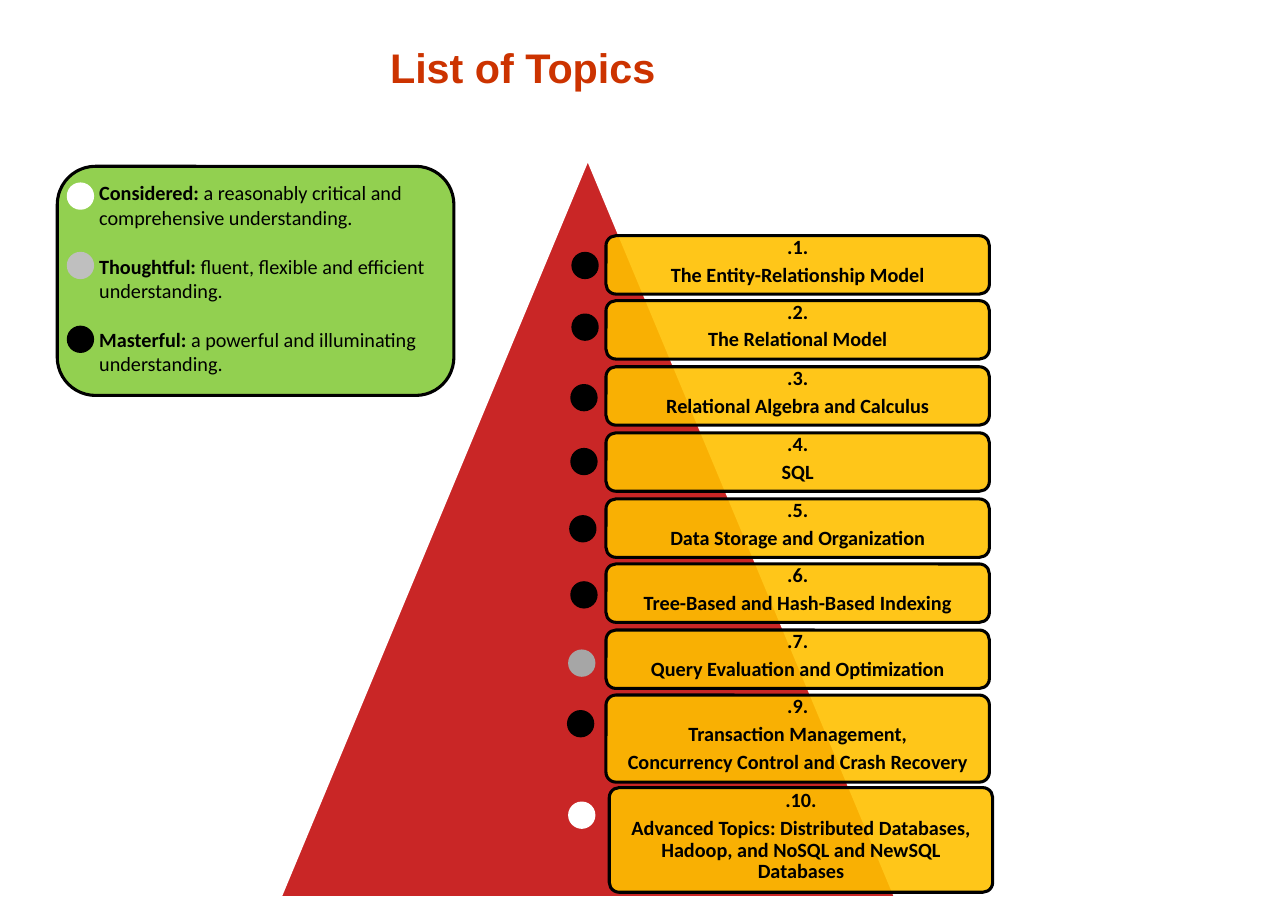
from lxml.etree import SubElement
from pptx import Presentation
from pptx.dml.color import RGBColor
from pptx.enum.shapes import MSO_SHAPE
from pptx.enum.text import MSO_ANCHOR, MSO_AUTO_SIZE, PP_ALIGN
from pptx.oxml.ns import qn
from pptx.util import Pt

EMU = 9144
COLORS = {
    "title": "CC3300", "peak": "C00000", "card": "FFC000", "key": "92D050",
    "black": "000000", "white": "FFFFFF", "gray": "A6A6A6", "silver": "BFBFBF",
}
FONTS = {
    "title": {"name": "Arial", "size": Pt(27), "bold": True},
    "strong": {"name": "Calibri", "size": Pt(13.2), "bold": True},
    "plain": {"name": "Calibri", "size": Pt(13.2), "bold": False},
}
PARAS = {
    "title": {"alignment": PP_ALIGN.LEFT},
    "card": {"alignment": PP_ALIGN.CENTER, "line_spacing": 0.9, "space_after": Pt(4)},
    "key": {"alignment": PP_ALIGN.LEFT, "space_before": Pt(0), "space_after": Pt(16.1)},
}
TOPICS = [
    (520, 230, "black", [".1.", "The Entity-Relationship Model"]),
    (520, 286, "black", [".2.", "The Relational Model"]),
    (519, 350, "black", [".3.", "Relational Algebra and Calculus"]),
    (519, 408, "black", [".4.", "SQL"]),
    (518, 469, "black", [".5.", "Data Storage and Organization"]),
    (519, 529, "black", [".6.", "Tree-Based and Hash-Based Indexing"]),
    (517, 591, "gray", [".7.", "Query Evaluation and Optimization"]),
    (516, 646, "black", [".9.", "Transaction Management,",
                         "Concurrency Control and Crash Recovery"]),
    (517, 729, "white", [".10.", "Advanced Topics: Distributed Databases, "
                         "Hadoop, and NoSQL and NewSQL Databases"]),
]
BOXES = [(550, 214 + 239 * i // 4, 348, 53) for i in range(7)]
BOXES += [(550, 631, 348, 79), (553, 715, 348, 95)]
LEVELS = [
    (167, "white", "Considered:", " a reasonably critical and comprehensive understanding."),
    (230, "silver", "Thoughtful:", " fluent, flexible and efficient understanding."),
    (297, "black", "Masterful:", " a powerful and illuminating understanding."),
]


def apply(item, values):
    for name, value in values.items():
        setattr(item, name, value)


class Deck:
    def __init__(self, width, height):
        self.file = Presentation()
        apply(self.file, {"slide_width": width * EMU, "slide_height": height * EMU})
        self.slide = self.file.slides.add_slide(self.file.slide_layouts[1])

    def place(self, shape, box):
        names = ("left", "top", "width", "height")
        apply(shape, {name: size * EMU for name, size in zip(names, box)})

    def frame(self, shape, anchor, pads=(0, 0, 0, 0)):
        frame = shape.text_frame
        names = ("margin_left", "margin_top", "margin_right", "margin_bottom")
        apply(frame, {name: pad * EMU for name, pad in zip(names, pads)})
        apply(frame, {"word_wrap": True, "auto_size": MSO_AUTO_SIZE.NONE,
                      "vertical_anchor": anchor})
        return frame

    def fill(self, frame, rows, style):
        for i, runs in enumerate(rows):
            para = frame.add_paragraph() if i else frame.paragraphs[0]
            apply(para, PARAS[style])
            for text, font, color in runs:
                run = para.add_run()
                run.text = text
                apply(run.font, FONTS[font])
                run.font.color.rgb = RGBColor.from_string(COLORS[color])

    def title(self, text, box):
        shape = self.slide.shapes.title
        self.place(shape, box)
        frame = self.frame(shape, MSO_ANCHOR.MIDDLE)
        self.fill(frame, [[(text, "title", "title")]], "title")

    def list(self, rows, box):
        shape = self.slide.placeholders[1]
        self.place(shape, box)
        frame = self.frame(shape, MSO_ANCHOR.TOP)
        self.fill(frame, rows, "key")
        for para in frame.paragraphs:
            props = para._p.get_or_add_pPr()
            props.set("marL", "0")
            props.set("indent", "0")
            SubElement(props, qn("a:buNone"))
        shape._element.getparent().append(shape._element)

    def shape(self, kind, box, fill, line, alpha=100):
        shape = self.slide.shapes.add_shape(kind, *(size * EMU for size in box))
        shape.shadow.inherit = False
        shape.fill.solid()
        shape.fill.fore_color.rgb = RGBColor.from_string(COLORS[fill])
        shape.line.color.rgb = RGBColor.from_string(COLORS[line])
        shape.line.width = Pt(2)
        if alpha < 100:
            color = shape._element.spPr.find(qn("a:solidFill"))[0]
            SubElement(color, qn("a:alpha"), val=str(alpha * 1000))
        return shape

    def dot(self, left, top, color):
        self.shape(MSO_SHAPE.OVAL, (left, top, 22, 22), color, color)

    def card(self, lines, box):
        shape = self.shape(MSO_SHAPE.ROUNDED_RECTANGLE, box, "card", "black", 90)
        shape.adjustments[0] = 9 / box[3]
        frame = self.frame(shape, MSO_ANCHOR.MIDDLE, (5, 5, 5, 11))
        self.fill(frame, [[(line, "strong", "black")] for line in lines], "card")


def main():
    deck = Deck(1169, 827)
    deck.title("List of Topics", (354, 38, 281, 45))
    deck.shape(MSO_SHAPE.ISOSCELES_TRIANGLE, (254, 144, 559, 671), "peak", "white", 85)
    for (left, top, color, lines), box in zip(TOPICS, BOXES):
        deck.card(lines, box)
        deck.dot(left, top, color)
    deck.shape(MSO_SHAPE.ROUNDED_RECTANGLE, (52, 151, 360, 208), "key", "black")
    for top, color, term, text in LEVELS:
        deck.dot(62, top, color)
    rows = [[(term, "strong", "black"), (text, "plain", "black")]
            for top, color, term, text in LEVELS]
    deck.list(rows, (90, 164, 316, 185))
    deck.file.save("out.pptx")


if __name__ == "__main__":
    main()
